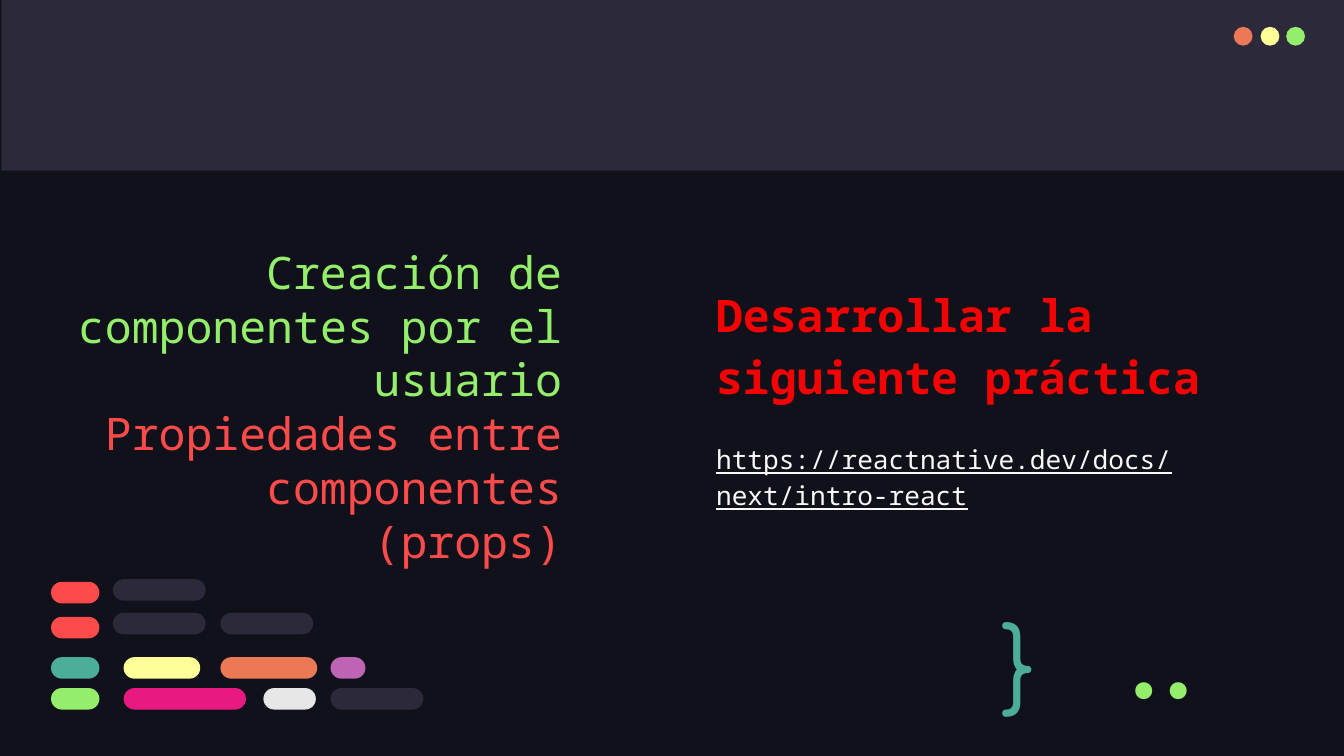
import pptx
import pptx.util
import pptx.dml.color
import pptx.enum.shapes
import pptx.enum.text

Inches, Pt = pptx.util.Inches, pptx.util.Pt
SHAPE = pptx.enum.shapes.MSO_SHAPE
ALIGN = pptx.enum.text.PP_ALIGN
ANCHOR = pptx.enum.text.MSO_ANCHOR

THEME = {
    "night": "10111A", "slate": "2C293A", "coral": "FD4A4A", "teal": "4CAE97",
    "yellow": "FFFF99", "orange": "EC7955", "purple": "BD64B5",
    "green": "94EE6B", "pink": "E81A81", "silver": "E7E7E7",
    "red": "F30303", "white": "F8F8F8",
    "mono": "Noto Sans Mono", "round": "Comfortaa", "code": "Fira Code",
    "heading": 24, "link": 14, "symbol": 50,
}

TOPICS = [("Creación de componentes por el usuario", "green"),
          ("Propiedades entre componentes (props)", "coral")]
TASK = "Desarrollar la siguiente práctica"
LINK = "https://reactnative.dev/docs/next/intro-react"

WINDOW_DOTS = [(9.18, "orange"), (9.38, "yellow"), (9.57, "green")]
DOT_TOP, DOT_SIZE = 0.2, 0.14

# Rows of code pills: top, then (left, width, colour) for each pill
PILL_HEIGHT = 0.16
TAG_LEFT, TAG_WIDTH, LONG_WIDTH = 0.38, 0.36, 0.69
CODE_ROWS = [
    (4.33, [(TAG_LEFT, TAG_WIDTH, "coral")]),
    (4.59, [(TAG_LEFT, TAG_WIDTH, "coral")]),
    (4.89, [(TAG_LEFT, TAG_WIDTH, "teal"), (0.92, 0.57, "yellow"),
            (1.64, 0.72, "orange"), (2.46, 0.26, "purple")]),
    (5.12, [(TAG_LEFT, TAG_WIDTH, "green"), (0.92, 0.91, "pink"),
            (1.96, 0.39, "silver"), (2.46, LONG_WIDTH, "slate")]),
    (4.31, [(0.84, LONG_WIDTH, "slate")]),
    (4.56, [(0.84, LONG_WIDTH, "slate"), (1.64, LONG_WIDTH, "slate")]),
]


def color(name):
    return pptx.dml.color.RGBColor.from_string(THEME[name])


def add_block(slide, preset, left, top, width, height, fill):
    block = slide.shapes.add_shape(
        preset, Inches(left), Inches(top), Inches(width), Inches(height))
    block.shadow.inherit = False
    block.fill.solid()
    block.fill.fore_color.rgb = color(fill)
    block.line.fill.background()
    return block


def style(run, face, size, ink, bold=False, underline=False):
    font = run.font
    font.name, font.size = THEME[face], Pt(THEME[size])
    font.color.rgb = color(ink)
    font.bold, font.underline = bold, underline


def prepare_frame(shape, anchor=ANCHOR.TOP):
    frame = shape.text_frame
    frame.word_wrap = True
    frame.auto_size = pptx.enum.text.MSO_AUTO_SIZE.NONE
    frame.vertical_anchor = anchor
    frame.margin_left = frame.margin_right = Inches(0.1)
    frame.margin_top = frame.margin_bottom = Inches(0.1)
    return frame


def add_text(slide, left, top, width, height, text, anchor=ANCHOR.TOP):
    box = slide.shapes.add_textbox(
        Inches(left), Inches(top), Inches(width), Inches(height))
    frame = prepare_frame(box, anchor)
    frame.text = text
    return frame


def add_topics(slide):
    title = slide.shapes.title
    title.left, title.top = Inches(0.34), Inches(1.72)
    title.width, title.height = Inches(3.94), Inches(2.96)
    paragraph = prepare_frame(title).paragraphs[0]
    paragraph.text = "\v".join(topic for topic, _ in TOPICS)
    paragraph.alignment = ALIGN.RIGHT
    for run, (_, ink) in zip(paragraph.runs, TOPICS):
        style(run, "mono", "heading", ink)


def add_practice(slide):
    frame = add_text(slide, 5.23, 1.98, 3.94, 1.91, f"{TASK}\n{LINK}")
    task, link = frame.paragraphs
    task.line_spacing = link.line_spacing = 1.15
    link.space_before = Pt(19)
    style(task.runs[0], "mono", "heading", "red", bold=True)
    style(link.runs[0], "mono", "link", "white", underline=True)


def add_symbols(slide):
    brace = add_text(slide, 7.35, 4.38, 0.57, 0.83, "}").paragraphs[0]
    style(brace.runs[0], "round", "symbol", "teal")
    dots = add_text(slide, 8.1, 4.62, 1.07, 0.6, "..", ANCHOR.MIDDLE).paragraphs[0]
    dots.alignment = ALIGN.RIGHT
    style(dots.runs[0], "code", "symbol", "green")


def main():
    deck = pptx.Presentation()
    deck.slide_width = Inches(10)
    deck.slide_height = deck.slide_width * 9 // 16
    slide = deck.slides.add_slide(deck.slide_layouts[5])
    slide.background.fill.solid()
    slide.background.fill.fore_color.rgb = color("night")

    add_block(slide, SHAPE.RECTANGLE, 0.01, 0, 10, 1.27, "slate")
    for left, fill in WINDOW_DOTS:
        add_block(slide, SHAPE.OVAL, left, DOT_TOP, DOT_SIZE, DOT_SIZE, fill)
    add_topics(slide)
    add_practice(slide)
    for top, pills in CODE_ROWS:
        for left, width, fill in pills:
            pill = add_block(slide, SHAPE.ROUNDED_RECTANGLE,
                             left, top, width, PILL_HEIGHT, fill)
            pill.adjustments[0] = 0.5
    add_symbols(slide)
    deck.save("out.pptx")


if __name__ == "__main__":
    main()
